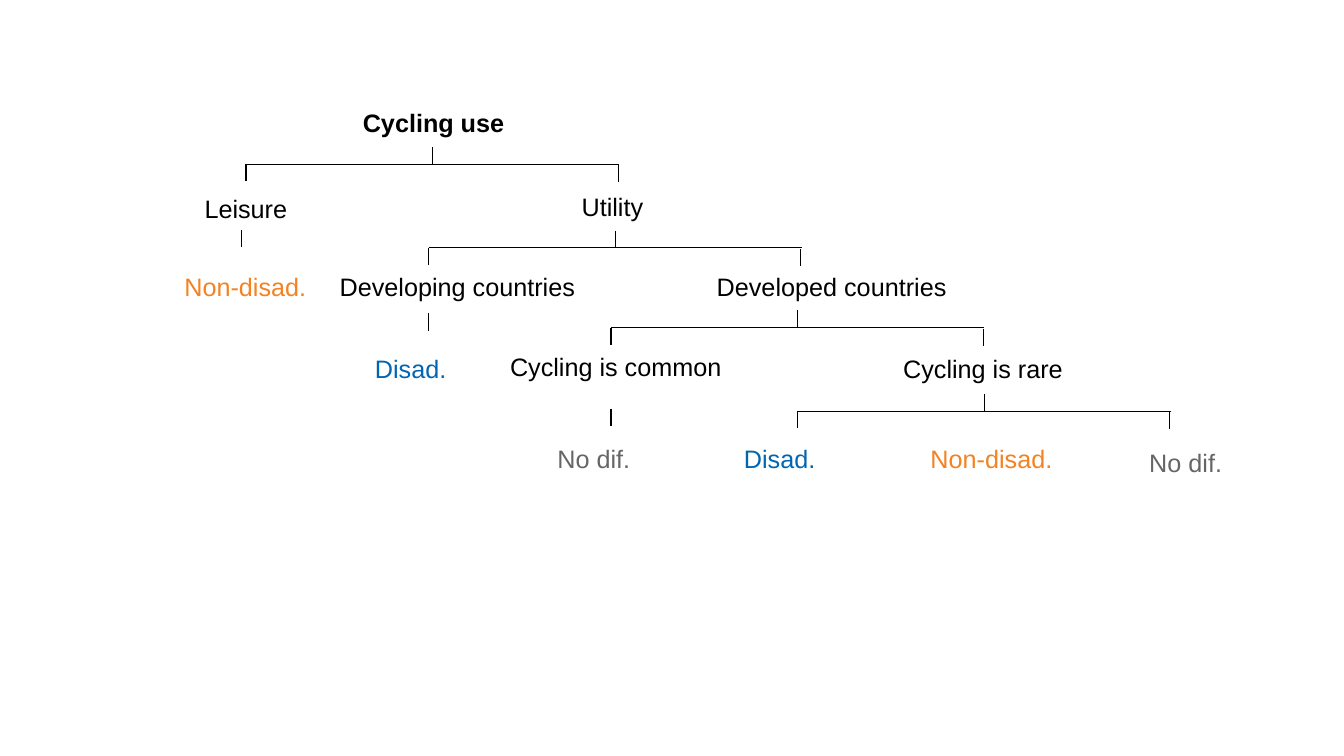
import pptx
import pptx.util
import pptx.dml.color
import pptx.enum.shapes
import pptx.oxml
import pptx.oxml.ns

Inches = pptx.util.Inches
BLACK, ORANGE, BLUE, GRAY = "000000", "F58220", "0066B3", "666666"
TICK = 0.17
SPAN = 3.7
LABEL_HEIGHT = 0.38

LABELS = [
    ("Cycling use", 3.5, 1.02, 3.39, BLACK, True),
    ("Leisure", 1.93, 1.87, 3.39, BLACK, False),
    ("Utility", 5.67, 1.85, 3.39, BLACK, False),
    ("Non-disad.", 1.73, 2.64, 3.39, ORANGE, False),
    ("Developing countries", 3.27, 2.64, 3.39, BLACK, False),
    ("Developed countries", 7.01, 2.64, 3.39, BLACK, False),
    ("Disad.", 3.62, 3.46, 1.22, BLUE, False),
    ("Cycling is common", 4.96, 3.44, 3.39, BLACK, False),
    ("Cycling is rare", 8.86, 3.46, 1.97, BLACK, False),
    ("No dif.", 5.43, 4.35, 3.39, GRAY, False),
    ("Disad.", 7.28, 4.35, 3.39, BLUE, False),
    ("Non-disad.", 9.13, 4.35, 3.39, ORANGE, False),
    ("No dif.", 11.3, 4.39, 1.97, GRAY, False),
]
FORKS = [(2.44, 1.63), (4.25, 2.46), (6.06, 3.25), (7.91, 4.08)]
STEMS = [(2.4, 2.28), (4.25, 3.11), (6.06, 4.06)]


def rgb(value):
    return pptx.dml.color.RGBColor.from_string(value)


def add_text(s, text, x, y, w, h, size=18, color=BLACK, bold=False):
    sp = s.shapes.add_textbox(Inches(x), Inches(y), Inches(w), Inches(h))
    tf = sp.text_frame
    tf.word_wrap = True
    r = tf.paragraphs[0].add_run()
    r.text = text
    r.font.name = "Arial"
    r.font.size = pptx.util.Pt(size)
    r.font.bold = bold
    r.font.color.rgb = rgb(color)


def add_line(s, x1, y1, x2, y2):
    sp = s.shapes.add_connector(
        pptx.enum.shapes.MSO_CONNECTOR.STRAIGHT,
        Inches(x1), Inches(y1), Inches(x2), Inches(y2))
    sp.line.color.rgb = rgb(BLACK)
    sp.line.width = pptx.util.Pt(0.75)
    effects = pptx.oxml.parse_xml(
        f"<a:effectLst {pptx.oxml.ns.nsdecls('a')}/>")
    sp._element.spPr.append(effects)


def add_stem(s, x, y):
    add_line(s, x, y, x, y + TICK)


def add_fork(s, x, y):
    add_line(s, x, y, x + SPAN, y)
    add_stem(s, x + SPAN / 2, y - TICK)
    add_stem(s, x, y)
    add_stem(s, x + SPAN - 0.01, y + 0.01)


def add_tree(s, x, y):
    for text, dx, dy, w, color, bold in LABELS:
        add_text(s, text, x + dx, y + dy, w, LABEL_HEIGHT, color=color, bold=bold)
    for dx, dy in FORKS:
        add_fork(s, x + dx, y + dy)
    for dx, dy in STEMS:
        add_stem(s, x + dx, y + dy)


def main():
    prs = pptx.Presentation()
    prs.slide_width = Inches(13.33)
    prs.slide_height = Inches(7.5)
    s = prs.slides.add_slide(prs.slide_layouts[6])
    add_tree(s, 0, 0)
    prs.save("out.pptx")


if __name__ == "__main__":
    main()
